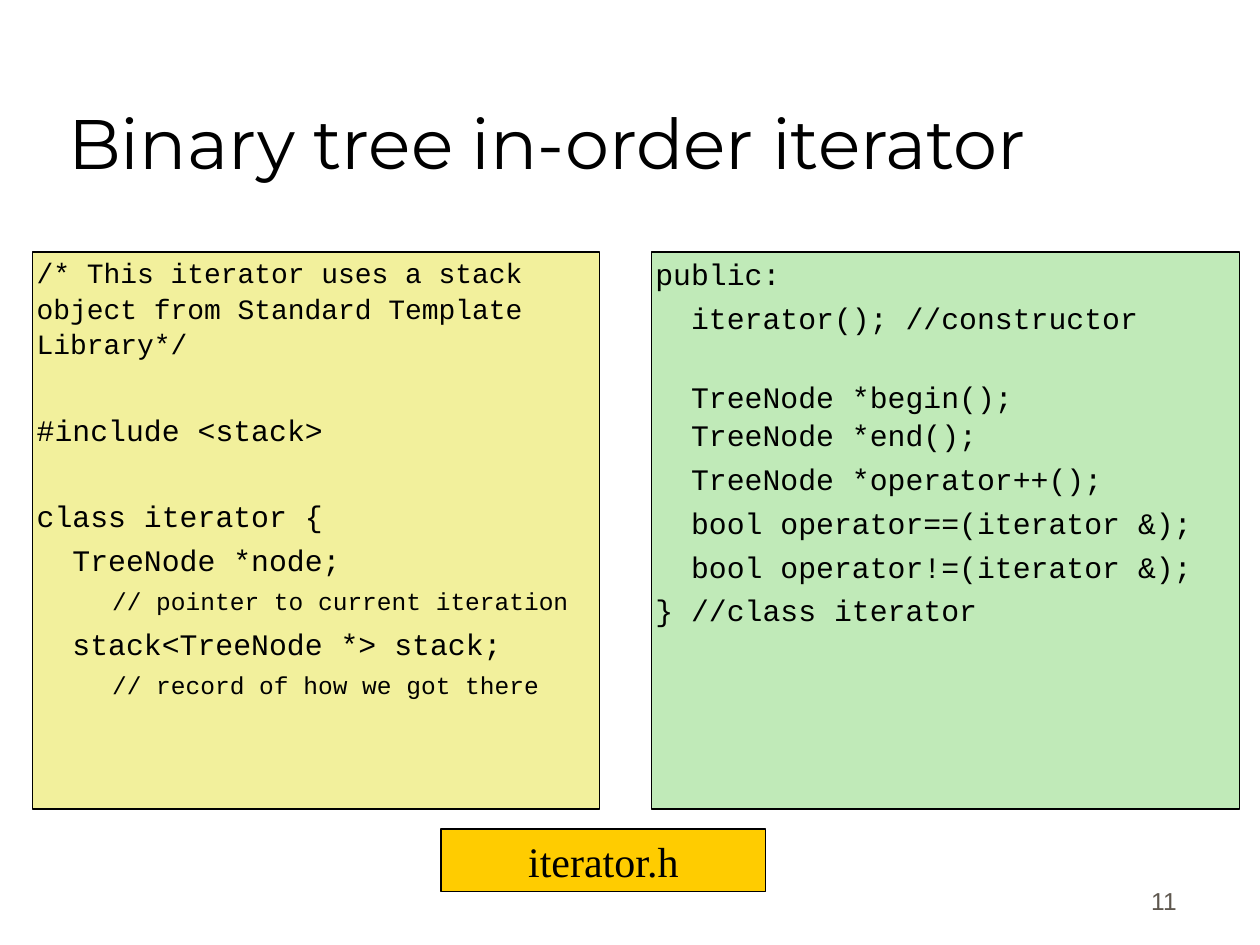
from pptx import Presentation
from pptx.dml.color import RGBColor
from pptx.enum.shapes import MSO_SHAPE
from pptx.enum.text import MSO_ANCHOR, MSO_AUTO_SIZE, PP_ALIGN
from pptx.util import Cm, Pt

BLACK = RGBColor(0x00, 0x00, 0x00)
GREY = RGBColor(0x5E, 0x57, 0x4E)
YELLOW = RGBColor(0xF2, 0xF0, 0x9C)
GREEN = RGBColor(0xC0, 0xEA, 0xB8)
GOLD = RGBColor(0xFF, 0xCC, 0x00)

TWO_CONTENT = 3
CODE_TOP, CODE_HEIGHT = 5.08, 11.23
CODE_LINE_SPACING = 1.06
MEMBER, COMMENT = 0.72, 1.52  # indents in cm

TITLE = "Binary tree in-order iterator"
FILE_NAME = "iterator.h"
SLIDE_NUMBER = "11"

# text, size, indent (cm), space before (pt)
PRIVATE_CODE = [
    ("/* This iterator uses a stack object from Standard Template Library*/", 16, 0, 3.2),
    ("#include <stack>", 17, 0, 28.5),
    ("class iterator {", 17, 0, 27.3),
    ("TreeNode *node;", 17, MEMBER, 3.4),
    ("// pointer to current iteration", 14, COMMENT, 4),
    ("stack<TreeNode *> stack;", 17, MEMBER, 4.4),
    ("// record of how we got there", 14, COMMENT, 4),
]
PUBLIC_CODE = [
    ("public:", 17, 0, 3.4),
    ("iterator(); //constructor", 17, MEMBER, 3.4),
    ("TreeNode *begin();\vTreeNode *end();", 17, MEMBER, 23.9),
    ("TreeNode *operator++();", 17, MEMBER, 3.4),
    ("bool operator==(iterator &);", 17, MEMBER, 3.4),
    ("bool operator!=(iterator &);", 17, MEMBER, 3.4),
    ("} //class iterator", 17, 0, 3.4),
]
# left, width, fill, lines
PANELS = [
    (0.66, 11.43, YELLOW, PRIVATE_CODE),
    (13.13, 11.86, GREEN, PUBLIC_CODE),
]


def place(shape, left, top, width, height):
    shape.left, shape.top = Cm(left), Cm(top)
    shape.width, shape.height = Cm(width), Cm(height)


def paint(shape, color):
    shape.fill.solid()
    shape.fill.fore_color.rgb = color
    shape.line.color.rgb = BLACK
    shape.line.width = Pt(0.75)


def style(paragraph, name, size, color=BLACK, alignment=PP_ALIGN.LEFT):
    paragraph.font.name = name
    paragraph.font.size = Pt(size)
    paragraph.font.color.rgb = color
    paragraph.alignment = alignment


def set_indent(paragraph, indent):
    """Indent the paragraph and turn its inherited bullet off."""
    properties = paragraph._p.get_or_add_pPr()
    properties.set("marL", str(Cm(indent)))
    properties.set("indent", "0")
    bullet = properties.makeelement(
        "{http://schemas.openxmlformats.org/drawingml/2006/main}buNone", {})
    properties.insert_element_before(
        bullet, "a:tabLst", "a:defRPr", "a:extLst")


def fill_code_panel(shape, left, width, color, lines):
    place(shape, left, CODE_TOP, width, CODE_HEIGHT)
    paint(shape, color)
    frame = shape.text_frame
    frame.auto_size = MSO_AUTO_SIZE.NONE
    frame.margin_left = frame.margin_right = Cm(0.08)
    frame.margin_top = frame.margin_bottom = Cm(0.03)
    frame.text = "\n".join(line[0] for line in lines)
    for paragraph, (_, size, indent, before) in zip(frame.paragraphs, lines):
        style(paragraph, "Courier New", size)
        paragraph.line_spacing = CODE_LINE_SPACING
        paragraph.space_before = Pt(before)
        set_indent(paragraph, indent)


def main():
    presentation = Presentation()
    presentation.slide_width, presentation.slide_height = Cm(25.4), Cm(19.05)
    slide = presentation.slides.add_slide(presentation.slide_layouts[TWO_CONTENT])

    title, *bodies = slide.placeholders
    place(title, 1.12, 0.64, 21.59, 3.18)
    title.text_frame.text = TITLE
    title.text_frame.vertical_anchor = MSO_ANCHOR.BOTTOM
    style(title.text_frame.paragraphs[0], "Montserrat", 40)

    for body, panel in zip(bodies, PANELS):
        fill_code_panel(body, *panel)

    label = slide.shapes.add_shape(
        MSO_SHAPE.RECTANGLE, Cm(8.89), Cm(16.71), Cm(6.55), Cm(1.27))
    label.shadow.inherit = False
    paint(label, GOLD)
    label.text_frame.text = FILE_NAME
    style(label.text_frame.paragraphs[0], "Times New Roman", 24,
          alignment=PP_ALIGN.CENTER)

    number = slide.shapes.add_textbox(Cm(18.69), Cm(17.3), Cm(5.28), Cm(1.27))
    number.text_frame.word_wrap = True
    number.text_frame.vertical_anchor = MSO_ANCHOR.BOTTOM
    number.text_frame.text = SLIDE_NUMBER
    style(number.text_frame.paragraphs[0], "Arial", 14, GREY, PP_ALIGN.RIGHT)

    presentation.save("out.pptx")


if __name__ == "__main__":
    main()
